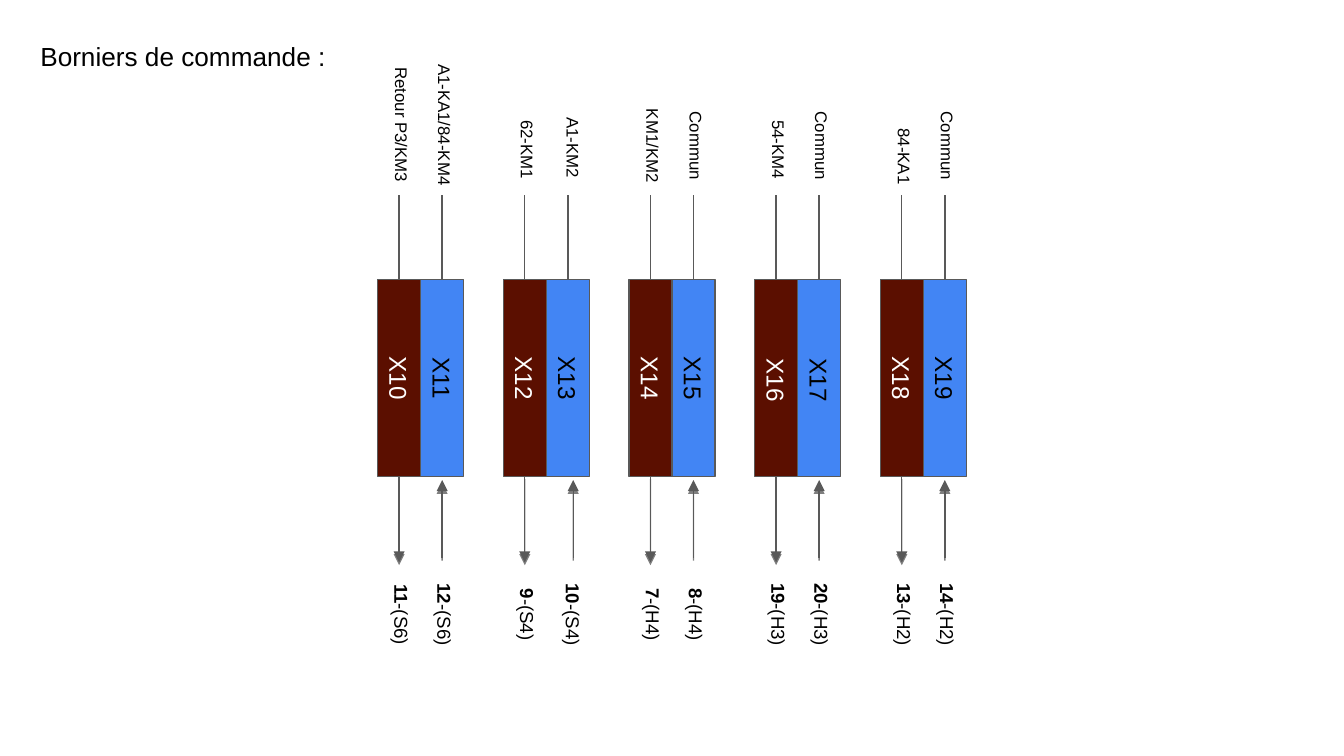
import pptx
import pptx.dml.color
import pptx.enum.shapes
import pptx.enum.text
import pptx.oxml
import pptx.oxml.ns
import pptx.util

W = 10
H = W * 9 / 16
FONT = "Arial"
BLACK, WHITE, GREY = "000000", "FFFFFF", "595959"
BROWN, BLUE = "5B0F00", "4285F4"
PAIRS = 5
STRIP_X, STRIP_SPAN, TERMINAL_W = 2.81, 3.74, 0.32
LABEL_NUDGE = 0.02

TERMINALS = [
    ("X10", "Retour P3/KM3", 16.5, "11", "S6", 50, 0),
    ("X11", "A1-KA1/84-KM4", 16.5, "12", "S6", 50, 0),
    ("X12", "62-KM1", 19.8, "9", "S4", 50, 0),
    ("X13", "A1-KM2", 19.5, "10", "S4", 50, 0.04),
    ("X14", "KM1/KM2", 19.3, "7", "H4", 50, 0),
    ("X15", "Commun", 19.3, "8", "H4", 50, 0),
    ("X16", "54-KM4", 19.8, "19", "H3", 50.3, 0),
    ("X17", "Commun", 19.3, "20", "H3", 50.3, 0),
    ("X18", "84-KA1", 20.7, "13", "H2", 50, 0),
    ("X19", "Commun", 19.3, "14", "H2", 50, 0),
]


def rgb(value):
    return pptx.dml.color.RGBColor.from_string(value)


def inches(*values):
    return [pptx.util.Inches(v) for v in values]


def add_runs(p, runs, size, color):
    for text, bold in runs:
        r = p.add_run()
        r.text = text
        r.font.name = FONT
        r.font.size = pptx.util.Pt(size)
        r.font.bold = bold
        r.font.color.rgb = rgb(color)


def add_label(slide, x, y, w, h, runs, size, color=BLACK):
    sp = slide.shapes.add_textbox(*inches(x - w / 2, y - h / 2, w, h))
    sp.rotation = 90
    tf = sp.text_frame
    tf.word_wrap = True
    tf.margin_left = tf.margin_right = tf.margin_top = tf.margin_bottom = 0
    tf.vertical_anchor = pptx.enum.text.MSO_ANCHOR.MIDDLE
    p = tf.paragraphs[0]
    p.alignment = pptx.enum.text.PP_ALIGN.CENTER
    add_runs(p, runs, size, color)


def add_wire(slide, x, y1, y2, arrow=False):
    line = slide.shapes.add_connector(
        pptx.enum.shapes.MSO_CONNECTOR.STRAIGHT, *inches(x, y1, x, y2))
    line.line.color.rgb = rgb(GREY)
    line.line.width = pptx.util.Pt(0.75)
    pr = line._element.spPr
    ns = pptx.oxml.ns.nsdecls("a")
    shadow = ""
    if arrow:
        pr.find(pptx.oxml.ns.qn("a:ln")).append(
            pptx.oxml.parse_xml(f'<a:tailEnd {ns} type="triangle"/>'))
        shadow = ('<a:outerShdw dist="19050" dir="5400000"><a:srgbClr val="000000">'
                  '<a:alpha val="50000"/></a:srgbClr></a:outerShdw>')
    pr.append(pptx.oxml.parse_xml(f"<a:effectLst {ns}>{shadow}</a:effectLst>"))


def add_terminal(slide, box, terminal, is_return):
    x, y, w, h = box
    name, wire, wire_row, number, circuit, name_row, shift = terminal
    mid = x + w / 2
    label_x = mid + shift + (0 if shift else LABEL_NUDGE)

    def row(percent):
        return y + h * percent / 100

    sp = slide.shapes.add_shape(
        pptx.enum.shapes.MSO_SHAPE.RECTANGLE, *inches(x, row(37), w, h * 0.26))
    sp.shadow.inherit = False
    sp.fill.solid()
    sp.fill.fore_color.rgb = rgb(BLUE if is_return else BROWN)
    sp.line.color.rgb = rgb(GREY)
    sp.line.width = pptx.util.Pt(0.75)
    add_wire(slide, mid, row(37), row(25.8))
    if is_return:
        add_wire(slide, mid + shift, row(73.8), row(63.5), arrow=True)
    else:
        add_wire(slide, mid, row(63), row(74.4), arrow=True)
    add_label(slide, label_x, row(wire_row), 1.1, 0.35, [(wire, False)], 9)
    add_label(slide, mid, row(name_row), 0.67, 0.42, [(name, False)], 13,
              BLACK if is_return else WHITE)
    add_label(slide, label_x, row(81.3), 0.69, 0.37,
              [(number, True), (f"-({circuit})", False)], 10)


def add_strip(slide, box):
    x, y, w, h = box
    pitch = w / (PAIRS - 1)
    for i, terminal in enumerate(TERMINALS):
        pair, side = divmod(i, 2)
        left = x + pair * pitch + side * TERMINAL_W
        add_terminal(slide, (left, y, TERMINAL_W, h), terminal, side == 1)


def add_title(slide, box):
    sp = slide.shapes.title
    sp.left, sp.top, sp.width, sp.height = inches(*box)
    tf = sp.text_frame
    tf.word_wrap = True
    tf.auto_size = pptx.enum.text.MSO_AUTO_SIZE.NONE
    tf.vertical_anchor = pptx.enum.text.MSO_ANCHOR.TOP
    tf.margin_left = tf.margin_right = pptx.util.Inches(0.1)
    tf.margin_top = tf.margin_bottom = pptx.util.Inches(0.1)
    p = tf.paragraphs[0]
    p.alignment = pptx.enum.text.PP_ALIGN.LEFT
    add_runs(p, [("Borniers de commande :", False)], 14, BLACK)


def main():
    prs = pptx.Presentation()
    prs.slide_width, prs.slide_height = inches(W, H)
    slide = prs.slides.add_slide(prs.slide_layouts[5])
    add_title(slide, (0.2, 0.2, 2.36, 0.43))
    add_strip(slide, (STRIP_X, 0, STRIP_SPAN, H))
    prs.save("out.pptx")


if __name__ == "__main__":
    main()
